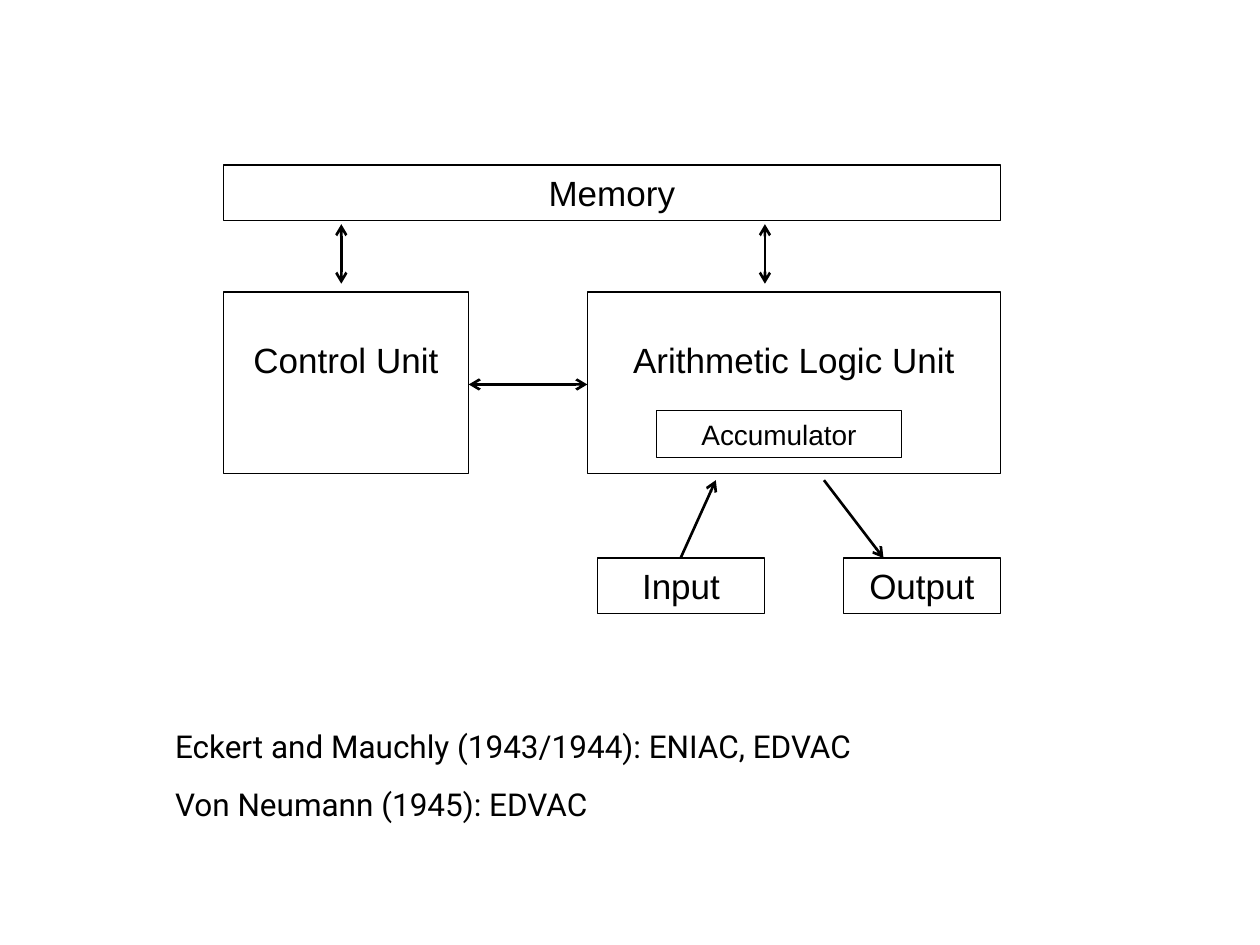
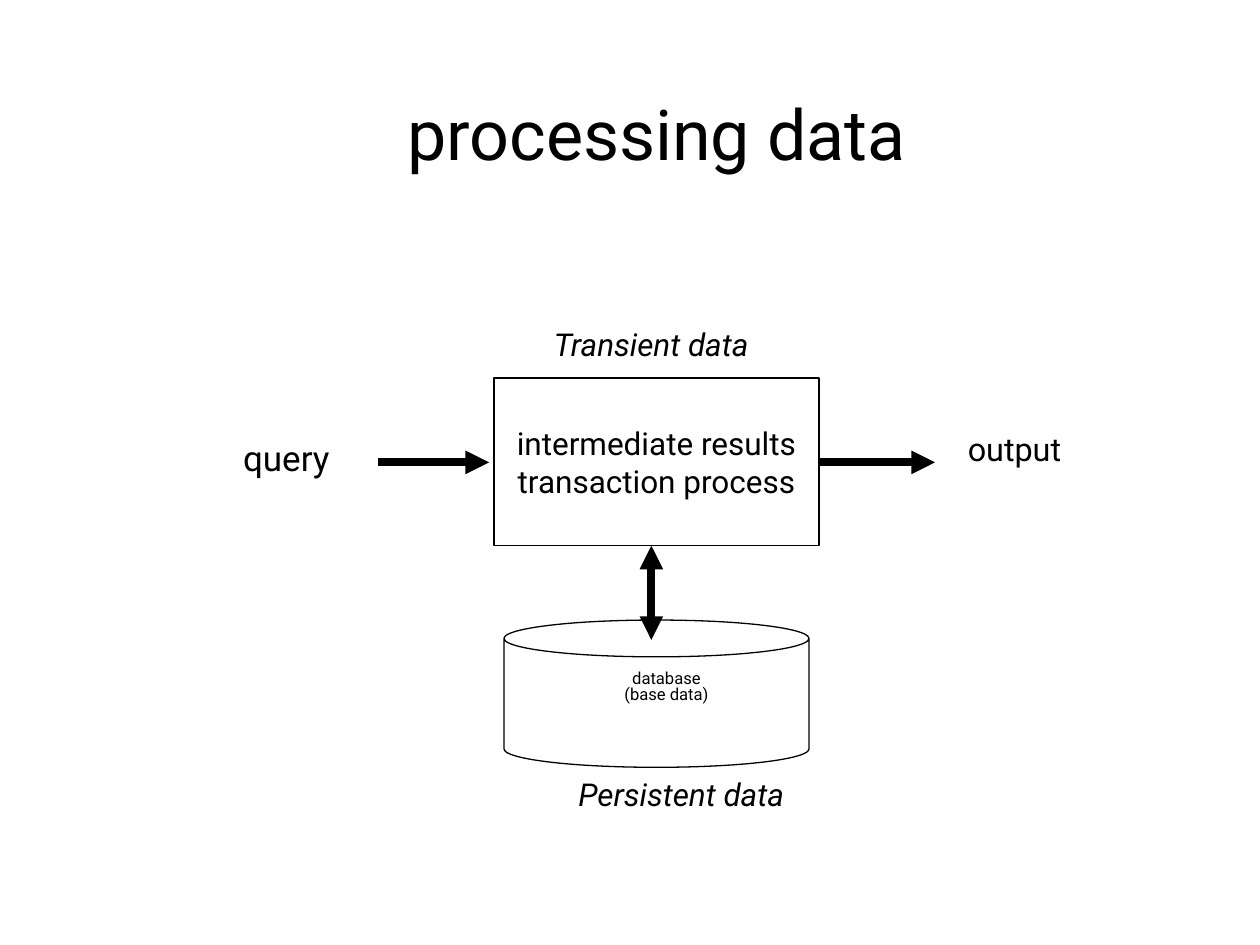
from lxml.etree import SubElement
from pptx import Presentation
from pptx.dml.color import RGBColor
from pptx.enum.shapes import MSO_CONNECTOR, MSO_SHAPE
from pptx.enum.text import MSO_ANCHOR, MSO_AUTO_SIZE, PP_ALIGN
from pptx.oxml.ns import qn
from pptx.util import Cm, Pt

BLACK = RGBColor(0x00, 0x00, 0x00)
WHITE = RGBColor(0xFF, 0xFF, 0xFF)

TITLE_ONLY, BLANK = 5, 6
HEADING_INSET = 0.94  # leaves one empty line above a unit's name

# Text styles: fonts in points, insets in centimetres
DEFAULT_STYLE = {
    "font": "Roboto", "size": 18, "italic": False,
    "align": PP_ALIGN.CENTER, "anchor": MSO_ANCHOR.TOP,
    "left_inset": 0.25, "top_inset": 0.13,
    "space_before": 0, "line_spacing": 1.0,
}
UNIT = {"font": "Arial", "size": 20}
LABEL = {"top_inset": 0}

# Lines of text, (left, top, width, height) in centimetres, style
MACHINE_BOXES = [
    (["Memory"], (4.5, 3.33, 15.67, 1.12), UNIT),
    (["Control Unit"], (4.5, 5.89, 4.95, 3.66), UNIT | {"top_inset": HEADING_INSET}),
    (["Arithmetic Logic Unit"], (11.84, 5.89, 8.33, 3.66), UNIT | {"top_inset": HEADING_INSET}),
    (["Accumulator"], (13.23, 8.28, 4.95, 0.94), UNIT | {"size": 16}),
    (["Input"], (12.04, 11.25, 3.38, 1.12), UNIT),
    (["Output"], (17, 11.25, 3.17, 1.12), UNIT),
]
HISTORY_NOTES = [
    (["Eckert and Mauchly (1943/1944): ENIAC, EDVAC", "Von Neumann (1945): EDVAC"],
     (3.28, 14.53, 19.84, 2.18), {"align": PP_ALIGN.LEFT, "space_before": 11.2}),
]
# Start and end in centimetres, whether both ends carry a head
MACHINE_ARROWS = [
    ((6.88, 4.52), (6.88, 5.72), True),
    ((15.42, 4.52), (15.42, 5.72), True),
    ((9.45, 7.75), (11.84, 7.75), True),
    ((13.72, 11.25), (14.43, 9.68), False),
    ((16.61, 9.68), (17.81, 11.25), False),
]

PROCESSING_TITLE = "processing data"
TITLE_BOX = (3.61, 1.7, 19.25, 1.96)
PROCESS_BOXES = [
    (["intermediate results", "transaction process"], (9.96, 7.62, 6.55, 3.38),
     {"anchor": MSO_ANCHOR.MIDDLE}),
]
PROCESS_LABELS = [
    (["query"], (4.65, 8.79, 2.44, 1.07), LABEL | {"size": 20, "align": PP_ALIGN.LEFT}),
    (["output"], (19.1, 8.74, 2.87, 1.07),
     LABEL | {"size": 18.5, "align": PP_ALIGN.LEFT, "left_inset": 0.41, "line_spacing": 0.9}),
    (["Transient data"], (10.49, 6.43, 5.28, 1.02), {"italic": True}),
    (["Persistent data"], (10.46, 15.62, 6.55, 0.84), LABEL | {"italic": True}),
    (["database", "(base data)"], (11.43, 13.54, 4.01, 0.84),
     LABEL | {"size": 9.5, "line_spacing": 0.8}),
]
DATABASE_CAN = (10.16, 12.5, 6.15, 2.97)
PROCESS_ARROWS = [
    ((7.62, 9.32), (9.86, 9.32), False),
    ((16.51, 9.32), (18.85, 9.32), False),
    ((13.13, 11), (13.13, 12.9), True),
]


def to_cm(values):
    return [Cm(value) for value in values]


def write_text(shape, lines, style):
    style = DEFAULT_STYLE | style
    frame = shape.text_frame
    frame_format = {
        "word_wrap": True, "auto_size": MSO_AUTO_SIZE.NONE,
        "vertical_anchor": style["anchor"],
        "margin_left": Cm(style["left_inset"]), "margin_right": Cm(0.25),
        "margin_top": Cm(style["top_inset"]), "margin_bottom": Cm(0.13),
    }
    for name, value in frame_format.items():
        setattr(frame, name, value)
    frame.text = "\n".join(lines)
    for paragraph in frame.paragraphs:
        paragraph.alignment = style["align"]
        paragraph.space_before = Pt(style["space_before"])
        paragraph.line_spacing = style["line_spacing"]
        font = paragraph.runs[0].font
        font.name, font.size = style["font"], Pt(style["size"])
        font.italic = style["italic"]
        font.color.rgb = BLACK


def add_outline(slide, preset, box):
    """Add an unfilled preset shape with a thin black line."""
    shape = slide.shapes.add_shape(preset, *to_cm(box))
    shape.shadow.inherit = False
    shape.fill.background()
    shape.line.color.rgb = BLACK
    shape.line.width = Pt(0.75)
    return shape


def add_boxes(slide, boxes):
    for lines, box, style in boxes:
        write_text(add_outline(slide, MSO_SHAPE.RECTANGLE, box), lines, style)


def add_labels(slide, labels):
    for lines, box, style in labels:
        write_text(slide.shapes.add_textbox(*to_cm(box)), lines, style)


def add_arrows(slide, arrows, width, head):
    for start, end, both_ends in arrows:
        connector = slide.shapes.add_connector(MSO_CONNECTOR.STRAIGHT, *to_cm(start + end))
        connector.line.color.rgb = BLACK
        connector.line.width = Pt(width)
        properties = connector.element.spPr
        line = properties.find(qn("a:ln"))
        if both_ends:
            SubElement(line, qn("a:headEnd"), type=head)
        SubElement(line, qn("a:tailEnd"), type=head)
        SubElement(properties, qn("a:effectLst"))


def add_slide(presentation, layout):
    slide = presentation.slides.add_slide(presentation.slide_layouts[layout])
    slide.background.fill.solid()
    slide.background.fill.fore_color.rgb = WHITE
    return slide


def build_machine_slide(presentation):
    slide = add_slide(presentation, BLANK)
    add_labels(slide, HISTORY_NOTES)
    add_boxes(slide, MACHINE_BOXES)
    add_arrows(slide, MACHINE_ARROWS, 1.5, "arrow")


def build_processing_slide(presentation):
    slide = add_slide(presentation, TITLE_ONLY)
    title = slide.shapes.title
    title.left, title.top, title.width, title.height = to_cm(TITLE_BOX)
    write_text(title, [PROCESSING_TITLE], {"size": 40})
    add_boxes(slide, PROCESS_BOXES)
    add_labels(slide, PROCESS_LABELS)
    add_arrows(slide, PROCESS_ARROWS, 4.5, "triangle")
    add_outline(slide, MSO_SHAPE.CAN, DATABASE_CAN)


def main():
    presentation = Presentation()
    presentation.slide_width, presentation.slide_height = Cm(25.4), Cm(19.05)
    build_machine_slide(presentation)
    build_processing_slide(presentation)
    presentation.save("out.pptx")


if __name__ == "__main__":
    main()
